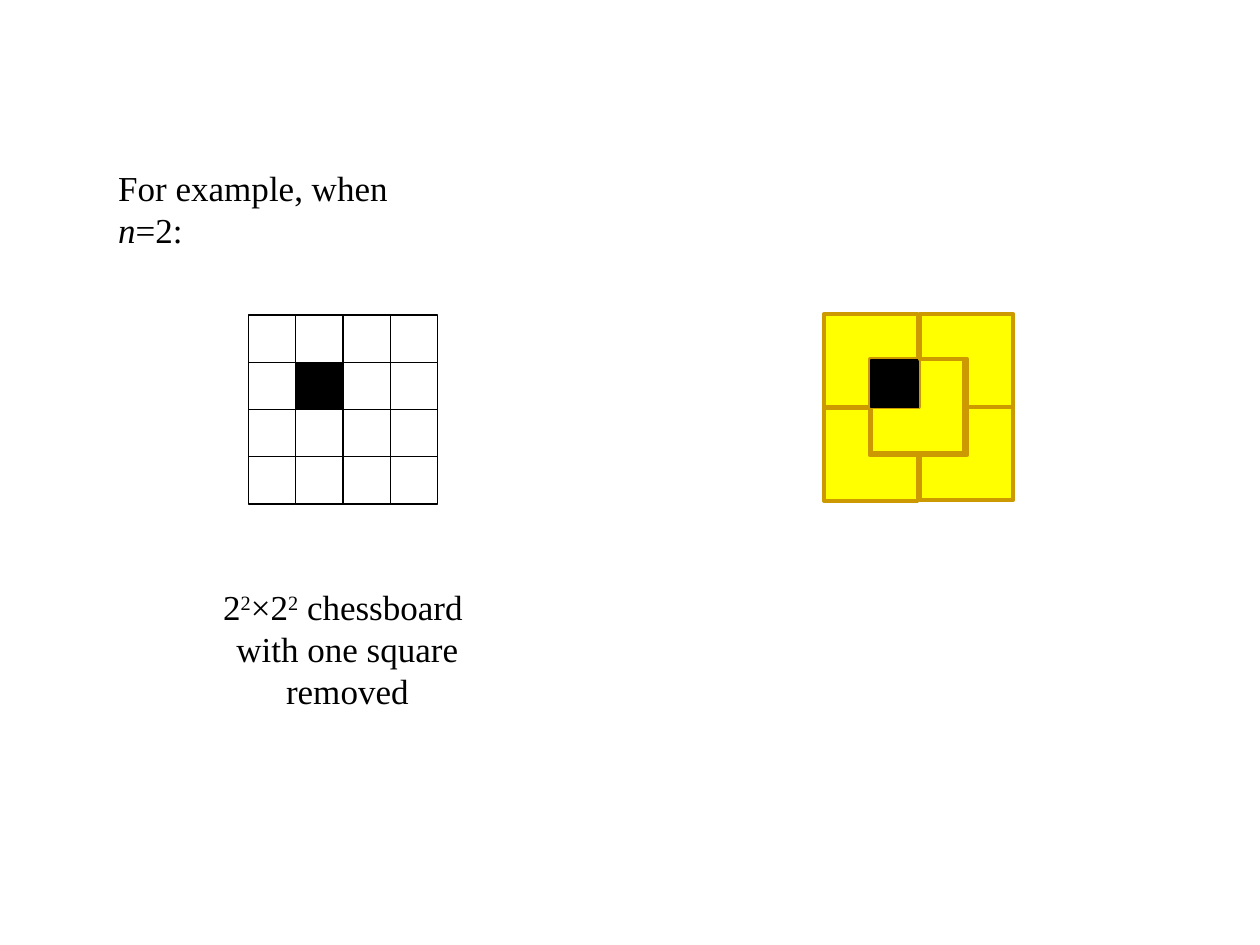
import pptx
import pptx.dml.color
import pptx.enum.shapes
import pptx.enum.text
import pptx.util

Pt = pptx.util.Pt
BLACK, WHITE, YELLOW, GOLD = "000000", "FFFFFF", "FFFF00", "CC9900"

INTRO = [[("For example, when ", ""), ("n", "italic"), ("=2:", "")]]
CAPTION = [
    [("2", ""), ("2", "super"), ("×2", ""), ("2", "super"), (" chessboard ", "")],
    [("with one square removed", "")],
]

BOARD_LEFT, BOARD_TOP, CELL, CELLS = 142, 180, 27, 4
REMOVED = (1, 1)

SIDE, ARM = 53.3, 26.1
BACK_TROMINOES = [
    (497.8, 205.4, "left", "top"),
    (471, 233, "right", "top"),
    (471, 179.3, "right", "bottom"),
]
FRONT_TROMINOES = [
    (525.6, 232.6, "left", "top"),
    (525.6, 179.3, "left", "bottom"),
]


def color(value):
    return pptx.dml.color.RGBColor.from_string(value)


def paint(shape, fill, line, width):
    shape.shadow.inherit = False
    shape.fill.solid()
    shape.fill.fore_color.rgb = color(fill)
    shape.line.color.rgb = color(line)
    shape.line.width = Pt(width)


def add_square(shapes, left, top, fill):
    rectangle = pptx.enum.shapes.MSO_SHAPE.RECTANGLE
    square = shapes.add_shape(rectangle, Pt(left), Pt(top), Pt(CELL), Pt(CELL))
    paint(square, fill, BLACK, 0.75)


def add_tromino(shapes, left, top, notch_x, notch_y):
    notch = SIDE - ARM
    outline = [(notch, 0), (SIDE, 0), (SIDE, SIDE), (0, SIDE), (0, notch), (notch, notch)]
    points = [
        (
            Pt(left + (x if notch_x == "left" else SIDE - x)),
            Pt(top + (y if notch_y == "top" else SIDE - y)),
        )
        for x, y in outline
    ]
    builder = shapes.build_freeform(*points[0])
    builder.add_line_segments(points[1:], close=True)
    paint(builder.convert_to_shape(), YELLOW, GOLD, 2.25)


def add_text(shapes, left, top, width, height, paragraphs, alignment):
    frame = shapes.add_textbox(Pt(left), Pt(top), Pt(width), Pt(height)).text_frame
    frame.word_wrap = True
    for index, runs in enumerate(paragraphs):
        paragraph = frame.add_paragraph() if index else frame.paragraphs[0]
        paragraph.alignment = alignment
        paragraph.line_spacing = Pt(24)
        for text, style in runs:
            run = paragraph.add_run()
            run.text = text
            run.font.name = "Times New Roman"
            run.font.size = Pt(20)
            run.font.color.rgb = color(BLACK)
            if style == "italic":
                run.font.italic = True
            elif style == "super":
                run.font._element.set("baseline", "30000")


def main():
    presentation = pptx.Presentation()
    presentation.slide_width = Pt(720)
    presentation.slide_height = Pt(540)
    slide = presentation.slides.add_slide(presentation.slide_layouts[6])
    shapes = slide.shapes
    align = pptx.enum.text.PP_ALIGN

    for tromino in BACK_TROMINOES:
        add_tromino(shapes, *tromino)
    add_text(shapes, 60.5, 91.5, 186, 55, INTRO, align.LEFT)

    board = shapes.add_group_shape()
    for column in range(CELLS):
        for row in range(CELLS):
            fill = BLACK if (column, row) == REMOVED else WHITE
            left, top = BOARD_LEFT + column * CELL, BOARD_TOP + row * CELL
            add_square(board.shapes, left, top, fill)
    add_text(shapes, 105, 331.2, 187, 79, CAPTION, align.CENTER)

    add_square(shapes, 497.8, 205.8, BLACK)
    for tromino in FRONT_TROMINOES:
        add_tromino(shapes, *tromino)
    presentation.save("out.pptx")


if __name__ == "__main__":
    main()
